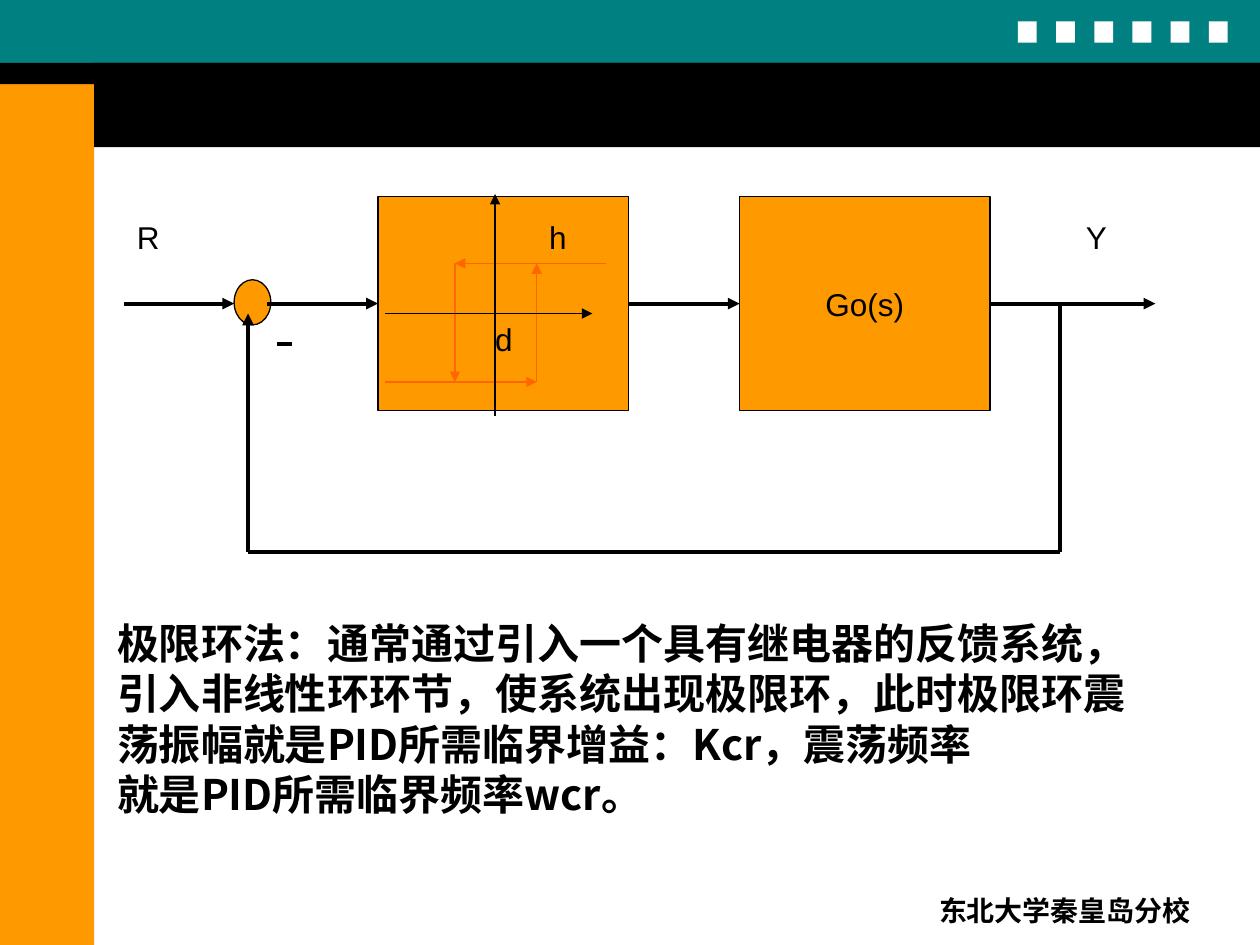
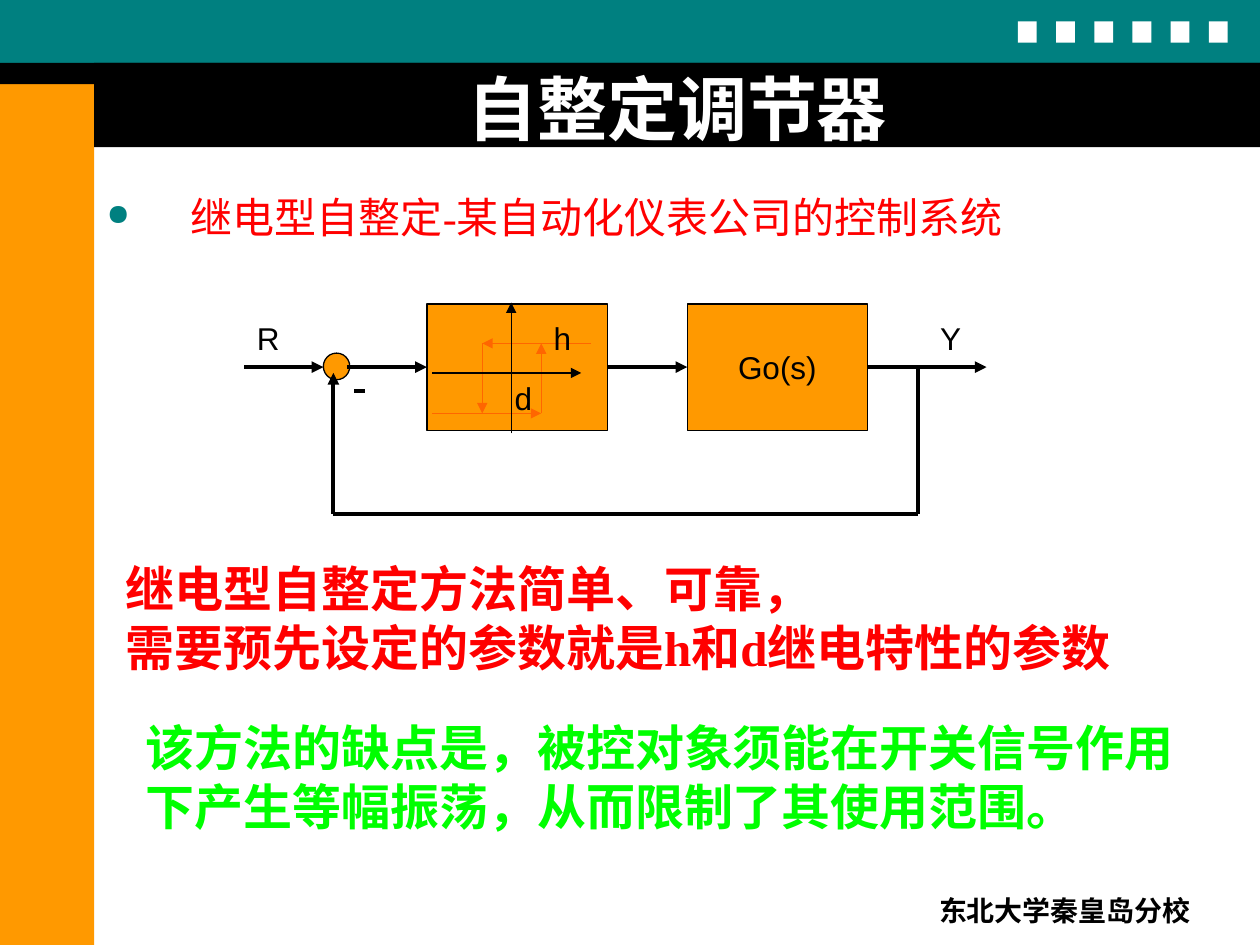
import pptx
import pptx.util
import pptx.dml.color
import pptx.enum.shapes
import pptx.enum.text
import pptx.oxml.ns
from dataclasses import dataclass
from lxml import etree
from typing import NamedTuple

Cm, Pt = pptx.util.Cm, pptx.util.Pt
Kind = pptx.enum.shapes.MSO_SHAPE
Align = pptx.enum.text.PP_ALIGN
Anchor = pptx.enum.text.MSO_ANCHOR
qn = pptx.oxml.ns.qn

INK = {
    "teal": "008080", "orange": "FF9900", "ember": "FF6600", "black": "000000",
    "white": "FFFFFF", "red": "FF0000", "green": "00FF00",
}
SANS, SERIF, HAN = "Arial", "Times New Roman", "Noto Sans CJK SC"


# Lengths in centimetres
class Box(NamedTuple):
    left: float
    top: float
    width: float
    height: float


class Band(NamedTuple):
    box: Box
    ink: str


class Wire(NamedTuple):
    x1: float
    y1: float
    x2: float
    y2: float
    ink: str = "black"
    weight: float = 2.25
    arrow: bool = True


class Label(NamedTuple):
    word: str
    left: float
    top: float
    width: float


@dataclass(frozen=True)
class Frame:
    """Scale and shift of the loop diagram on a slide."""
    sx: float = 1
    sy: float = 1
    dx: float = 0
    dy: float = 0

    def x(self, val: float) -> float:
        return val * self.sx + self.dx

    def y(self, val: float) -> float:
        return val * self.sy + self.dy

    def box(self, box: Box) -> Box:
        return Box(self.x(box.left), self.y(box.top),
                   box.width * self.sx, box.height * self.sy)


# Shared bands
BANDS = [
    Band(Box(0, 0, 25.4, 1.27), "teal"),
    Band(Box(0, 1.47, 1.9, 17.58), "orange"),
    Band(Box(1.9, 1.27, 23.5, 1.7), "black"),
    Band(Box(0, 1.27, 25.4, 0.43), "black"),
    *(Band(Box(20.52 + 0.77 * i, 0.43, 0.38, 0.43), "white") for i in range(6)),
]

# Loop diagram
AXIS = 6.12
NODE = Box(4.72, 5.64, 0.74, 0.91)
RELAY = Box(7.62, 3.96, 5.05, 4.32)
PLANT = Box(14.91, 3.96, 5.05, 4.32)
INPUT = Wire(2.51, AXIS, 4.72, AXIS)
ERROR = Wire(5.38, AXIS, 7.62, AXIS)
DRIVE = Wire(12.67, AXIS, 14.91, AXIS)
OUTPUT = Wire(19.96, AXIS, 23.29, AXIS)
CURVE = [
    Wire(7.77, 7.7, 10.82, 7.7, "ember", 0.75),
    Wire(12.22, 5.31, 9.17, 5.31, "ember", 0.75),
    Wire(9.17, 5.31, 9.17, 7.7, "ember", 0.75),
    Wire(10.82, 7.7, 10.82, 5.31, "ember", 0.75),
    Wire(7.77, 6.32, 11.94, 6.32, weight=0.75),
    Wire(9.98, 8.38, 9.98, 3.91, weight=0.75),
]
RETURN = [
    Wire(5, 11.13, 5, 6.32),
    Wire(5, 11.13, 21.36, 11.13, arrow=False),
    Wire(21.36, 11.13, 21.36, AXIS, arrow=False),
    Wire(5.59, 6.93, 5.89, 6.93, arrow=False),
]
LABELS = [
    Label("d", 9.73, 6.32, 0.86), Label("h", 10.82, 4.27, 0.86),
    Label("R", 2.51, 4.27, 0.97), Label("Y", 21.64, 4.27, 0.91),
]


def color(name: str):
    return pptx.dml.color.RGBColor.from_string(INK[name])


def place(shape, box: Box) -> None:
    shape.left, shape.top, shape.width, shape.height = map(Cm, box)


def write(shape, *lines: str, size: float = 18, font: str = SANS, ink: str = "black",
          bold: bool = False, align=Align.LEFT, anchor=Anchor.TOP,
          wrap: bool = True, bullet: bool = False):
    frame = shape.text_frame
    frame.auto_size = pptx.enum.text.MSO_AUTO_SIZE.NONE
    frame.word_wrap = wrap
    frame.vertical_anchor = anchor
    for i, line in enumerate(lines):
        para = frame.add_paragraph() if i else frame.paragraphs[0]
        para.alignment = align
        if bullet:
            add_bullet(para)
        run = para.add_run()
        run.text = line
        run.font.size, run.font.name, run.font.bold = Pt(size), font, bold
        run.font.color.rgb = color(ink)
        props = run._r.get_or_add_rPr()
        etree.SubElement(props, qn("a:ea")).set("typeface", HAN)
    return shape


def add_bullet(para) -> None:
    props = para._p.get_or_add_pPr()
    props.set("marL", str(Cm(1.7)))
    props.set("indent", str(-Cm(1.7)))
    tint = etree.SubElement(props, qn("a:buClr"))
    etree.SubElement(tint, qn("a:srgbClr")).set("val", INK["teal"])
    etree.SubElement(props, qn("a:buSzPct")).set("val", "70000")
    etree.SubElement(props, qn("a:buChar")).set("char", "●")


def text(slide, box: Box, *lines: str, **form):
    return write(slide.shapes.add_textbox(*map(Cm, box)), *lines, **form)


def block(slide, box: Box, ink: str, kind=Kind.RECTANGLE, edge: bool = False):
    shape = slide.shapes.add_shape(kind, *map(Cm, box))
    shape.shadow.inherit = False
    shape.fill.solid()
    shape.fill.fore_color.rgb = color(ink)
    if edge:
        shape.line.color.rgb = color("black")
        shape.line.width = Pt(0.75)
    else:
        shape.line.fill.background()
    return shape


def wire(slide, item: Wire, frame: Frame):
    line = slide.shapes.add_connector(
        pptx.enum.shapes.MSO_CONNECTOR.STRAIGHT,
        Cm(frame.x(item.x1)), Cm(frame.y(item.y1)),
        Cm(frame.x(item.x2)), Cm(frame.y(item.y2)))
    line.line.color.rgb = color(item.ink)
    line.line.width = Pt(item.weight)
    props = line.element.spPr
    if item.arrow:
        etree.SubElement(props.find(qn("a:ln")), qn("a:tailEnd")).set("type", "triangle")
    etree.SubElement(props, qn("a:effectLst"))
    return line


def draw_loop(slide, frame: Frame) -> None:
    block(slide, frame.box(NODE), "orange", Kind.OVAL, edge=True)
    relay, plant = (block(slide, frame.box(box), "orange", edge=True)
                    for box in (RELAY, PLANT))
    write(plant, "Go(s)", align=Align.CENTER, anchor=Anchor.MIDDLE, wrap=False)

    # Signal path, joined to the two blocks
    wire(slide, INPUT, frame)
    wire(slide, ERROR, frame).end_connect(relay, 1)
    drive = wire(slide, DRIVE, frame)
    drive.begin_connect(relay, 3)
    drive.end_connect(plant, 1)
    wire(slide, OUTPUT, frame).begin_connect(plant, 3)

    # Relay curve, feedback path and letters
    for item in CURVE + RETURN:
        wire(slide, item, frame)
    for item in LABELS:
        spot = Box(frame.x(item.left), frame.y(item.top), item.width, 1.02)
        text(slide, spot, item.word, wrap=False)


def add_bands(deck, slide) -> None:
    """Draw the bands once and hand them to the slide master."""
    tree = deck.slide_master.element.cSld.spTree
    for i, band in enumerate(BANDS):
        tree.insert(2 + i, block(slide, band.box, band.ink).element)


def add_footer(slide) -> None:
    text(slide, Box(17.91, 17.88, 7.11, 0.84), "东北大学秦皇岛分校",
         size=16, font=SERIF, bold=True, align=Align.CENTER)


def limit_slide(deck) -> None:
    slide = deck.slides.add_slide(deck.slide_layouts[6])
    add_bands(deck, slide)
    add_footer(slide)
    draw_loop(slide, Frame())
    text(slide, Box(2.11, 12.32, 21.21, 4.32),
         "极限环法：通常通过引入一个具有继电器的反馈系统，引入非线性环环节，"
         "使系统出现极限环，此时极限环震荡振幅就是PID所需临界增益：Kcr，震荡频率",
         "就是PID所需临界频率wcr。", size=24, font=HAN, bold=True)


def tuner_slide(deck) -> None:
    slide = deck.slides.add_slide(deck.slide_layouts[5])
    add_footer(slide)
    title = slide.shapes.title
    place(title, Box(1.9, 1.32, 23.5, 1.7))
    write(title, "自整定调节器", size=40, ink="white", bold=True,
          align=Align.CENTER, anchor=Anchor.MIDDLE)
    text(slide, Box(1.9, 3.73, 22.86, 1.4), "继电型自整定-某自动化仪表公司的控制系统",
         size=24, font=SERIF, ink="red", bullet=True)
    draw_loop(slide, Frame(0.72, 0.59, 3.12, 3.79))

    # Merits and limits
    form = dict(size=28, font=SERIF, bold=True, anchor=Anchor.MIDDLE)
    text(slide, Box(2.29, 11.13, 21.29, 2.64), "继电型自整定方法简单、可靠，",
         "需要预先设定的参数就是h和d继电特性的参数", ink="red", wrap=False, **form)
    text(slide, Box(2.69, 14.33, 21.84, 2.64),
         "该方法的缺点是，被控对象须能在开关信号作用下产生等幅振荡，从而限制了其使用范围。",
         ink="green", **form)


def main() -> None:
    deck = pptx.Presentation()
    deck.slide_width, deck.slide_height = Cm(25.4), Cm(19.05)
    limit_slide(deck)
    tuner_slide(deck)
    deck.save("out.pptx")


if __name__ == "__main__":
    main()
